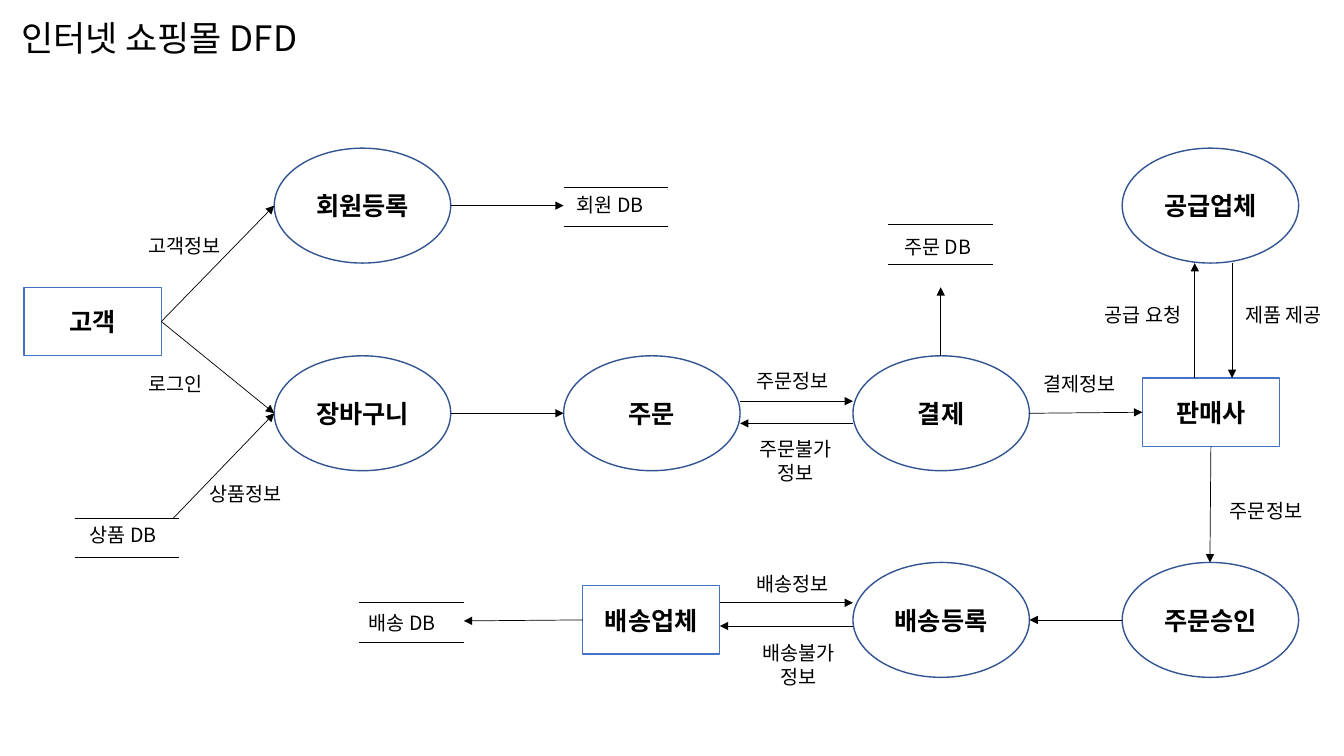
from dataclasses import dataclass

from lxml.etree import SubElement
from pptx import Presentation
from pptx.dml.color import RGBColor
from pptx.enum.shapes import MSO_CONNECTOR as LINE, MSO_SHAPE as SHAPE
from pptx.enum.text import MSO_ANCHOR as ANCHOR, MSO_AUTO_SIZE as FIT, PP_ALIGN as ALIGN
from pptx.oxml.ns import qn
from pptx.util import Pt

PX = 9144  # 100 px to the inch


@dataclass(frozen=True)
class Theme:
    font: str = "Noto Sans CJK KR"
    ink: str = "000000"
    paper: str = "FFFFFF"
    entity_line: str = "4472C4"
    process_line: str = "325491"
    title: int = 25
    node: int = 18
    label: int = 14
    leading: float = 1.21
    node_line: float = 1
    flow_line: float = 0.5


THEME = Theme()


def color(code):
    return RGBColor.from_string(code)


def write(frame, text, size=THEME.label, bold=False, align=ALIGN.LEFT,
          anchor=ANCHOR.TOP, fit=FIT.NONE):
    frame.word_wrap = True
    frame.auto_size = fit
    frame.vertical_anchor = anchor
    frame.margin_left = frame.margin_right = 10 * PX
    frame.margin_top = frame.margin_bottom = 5 * PX
    for index, line in enumerate(text.split("\n")):
        paragraph = frame.add_paragraph() if index else frame.paragraphs[0]
        paragraph.alignment = align
        paragraph.line_spacing = Pt(round(size * THEME.leading))
        run = paragraph.add_run()
        run.text = line
        run.font.size = Pt(size)
        run.font.bold = bold
        run.font.color.rgb = color(THEME.ink)
        run.font.name = THEME.font
        SubElement(run.font._element, qn("a:ea"), typeface=THEME.font)


@dataclass
class Box:
    left: int
    top: int
    width: int
    height: int

    def edge(self, side, shift=0, gap=0):
        """Point on a side, moved along it by shift and away from it by gap."""
        middle = self.left + self.width // 2 + shift
        center = self.top + self.height // 2 + shift
        return {
            "left": (self.left - gap, center),
            "right": (self.left + self.width + gap, center),
            "top": (middle, self.top - gap),
            "bottom": (middle, self.top + self.height + gap),
        }[side]


def draw_line(slide, start, end, arrow=True):
    ends = [value * PX for value in (*start, *end)]
    connector = slide.shapes.add_connector(LINE.STRAIGHT, *ends)
    connector.line.color.rgb = color(THEME.ink)
    connector.line.width = Pt(THEME.flow_line)
    if arrow:
        SubElement(connector.line._get_or_add_ln(), qn("a:tailEnd"), type="triangle")
    SubElement(connector._element.spPr, qn("a:effectLst"))


class Region:
    """Part of the diagram whose contents are placed from its top left corner."""

    def __init__(self, slide, left, top):
        self.slide, self.left, self.top = slide, left, top

    def box(self, x, y, width, height):
        return Box(self.left + x, self.top + y, width, height)

    def node(self, text, box, kind, line):
        outline = self.slide.shapes.add_shape(
            kind, box.left * PX, box.top * PX, box.width * PX, box.height * PX)
        outline.shadow.inherit = False
        outline.fill.solid()
        outline.fill.fore_color.rgb = color(THEME.paper)
        outline.line.color.rgb = color(line)
        outline.line.width = Pt(THEME.node_line)
        write(outline.text_frame, text, size=THEME.node, bold=True,
              align=ALIGN.CENTER, anchor=ANCHOR.MIDDLE)
        return box

    def entity(self, text, x, y):
        return self.node(text, self.box(x, y, 136, 68), SHAPE.RECTANGLE, THEME.entity_line)

    def process(self, text, x, y):
        return self.node(text, self.box(x, y, 175, 114), SHAPE.OVAL, THEME.process_line)

    def label(self, text, x, y, align=ALIGN.LEFT):
        height = 34 + 23 * text.count("\n")
        caption = self.slide.shapes.add_textbox(
            (self.left + x) * PX, (self.top + y) * PX, 118 * PX, height * PX)
        write(caption.text_frame, text, align=align, fit=FIT.SHAPE_TO_FIT_TEXT)

    def store(self, text, x, y, indent, drop):
        """Data store: two rules, with its name moved in by indent and drop."""
        box = self.box(x, y, 104, 39)
        for rule in (box.top, box.top + box.height):
            draw_line(self.slide, (box.left, rule), (box.left + box.width, rule), arrow=False)
        self.label(text, x + indent, y + drop)
        return box

    def flow(self, start, end):
        draw_line(self.slide, start, end)


def add_title(slide, text):
    title = slide.shapes.title
    title.left, title.top, title.width, title.height = (
        value * PX for value in (11, 11, 496, 52))
    write(title.text_frame, text, size=THEME.title)


def add_entry(slide, left, top):
    area = Region(slide, left, top)
    customer = area.entity("고객", 0, 138)
    signup = area.process("회원등록", 248, 0)
    cart = area.process("장바구니", 248, 206)
    members = area.store("회원 DB", 535, 39, 3, 0)
    products = area.store("상품 DB", 50, 367, 5, 0)
    area.flow(customer.edge("right"), signup.edge("left"))
    area.flow(customer.edge("right"), cart.edge("left"))
    area.flow(signup.edge("right"), members.edge("left", shift=-1))
    area.flow(products.edge("top", shift=46), cart.edge("left"))
    area.label("고객정보", 113, 80)
    area.label("로그인", 113, 217)
    area.label("상품정보", 174, 326)
    return cart


def add_ordering(slide, left, top):
    area = Region(slide, left, top)
    order = area.process("주문", 0, 130)
    payment = area.process("결제", 287, 130)
    orders = area.store("주문 DB", 322, 0, 6, 5)
    area.flow(payment.edge("top"), orders.edge("bottom", gap=23))
    area.flow(order.edge("right", shift=-12), payment.edge("left", shift=-12))
    area.flow(payment.edge("left", shift=10), order.edge("right", shift=10))
    area.label("주문정보", 181, 138)
    area.label("주문불가\n정보", 171, 205, align=ALIGN.CENTER)
    area.label("결제정보", 466, 141)
    return order, payment


def add_supply(slide, left, top):
    area = Region(slide, left, top)
    supplier = area.process("공급업체", 27, 0)
    seller = area.entity("판매사", 47, 228)
    approval = area.process("주문승인", 27, 411)
    area.flow(seller.edge("top", shift=-16), supplier.edge("bottom", shift=-15))
    area.flow(supplier.edge("bottom", shift=22), seller.edge("top", shift=21))
    area.flow(seller.edge("bottom"), approval.edge("top"))
    area.label("공급 요청", 0, 148)
    area.label("제품 제공", 139, 148)
    area.label("주문정보", 124, 343)
    return seller, approval


def add_shipping(slide, left, top):
    area = Region(slide, left, top)
    carrier = area.entity("배송업체", 222, 23)
    shipment = area.process("배송등록", 490, 0)
    deliveries = area.store("배송 DB", 0, 40, 0, 3)
    area.flow(carrier.edge("left"), deliveries.edge("right", shift=-1))
    area.flow(carrier.edge("right", shift=-17), shipment.edge("left", shift=-17))
    area.flow(shipment.edge("left", shift=6), carrier.edge("right", shift=6))
    area.label("배송정보", 384, 4)
    area.label("배송불가\n정보", 377, 73, align=ALIGN.CENTER)
    return shipment


def main():
    deck = Presentation()
    deck.slide_width, deck.slide_height = 1333 * PX, 750 * PX
    slide = deck.slides.add_slide(deck.slide_layouts[5])
    add_title(slide, "인터넷 쇼핑몰 DFD")
    cart = add_entry(slide, 24, 147)
    order, payment = add_ordering(slide, 559, 223)
    seller, approval = add_supply(slide, 1086, 147)
    shipment = add_shipping(slide, 356, 558)
    draw_line(slide, cart.edge("right"), order.edge("left"))
    draw_line(slide, payment.edge("right"), seller.edge("left"))
    draw_line(slide, approval.edge("left"), shipment.edge("right"))
    deck.save("out.pptx")


if __name__ == "__main__":
    main()
